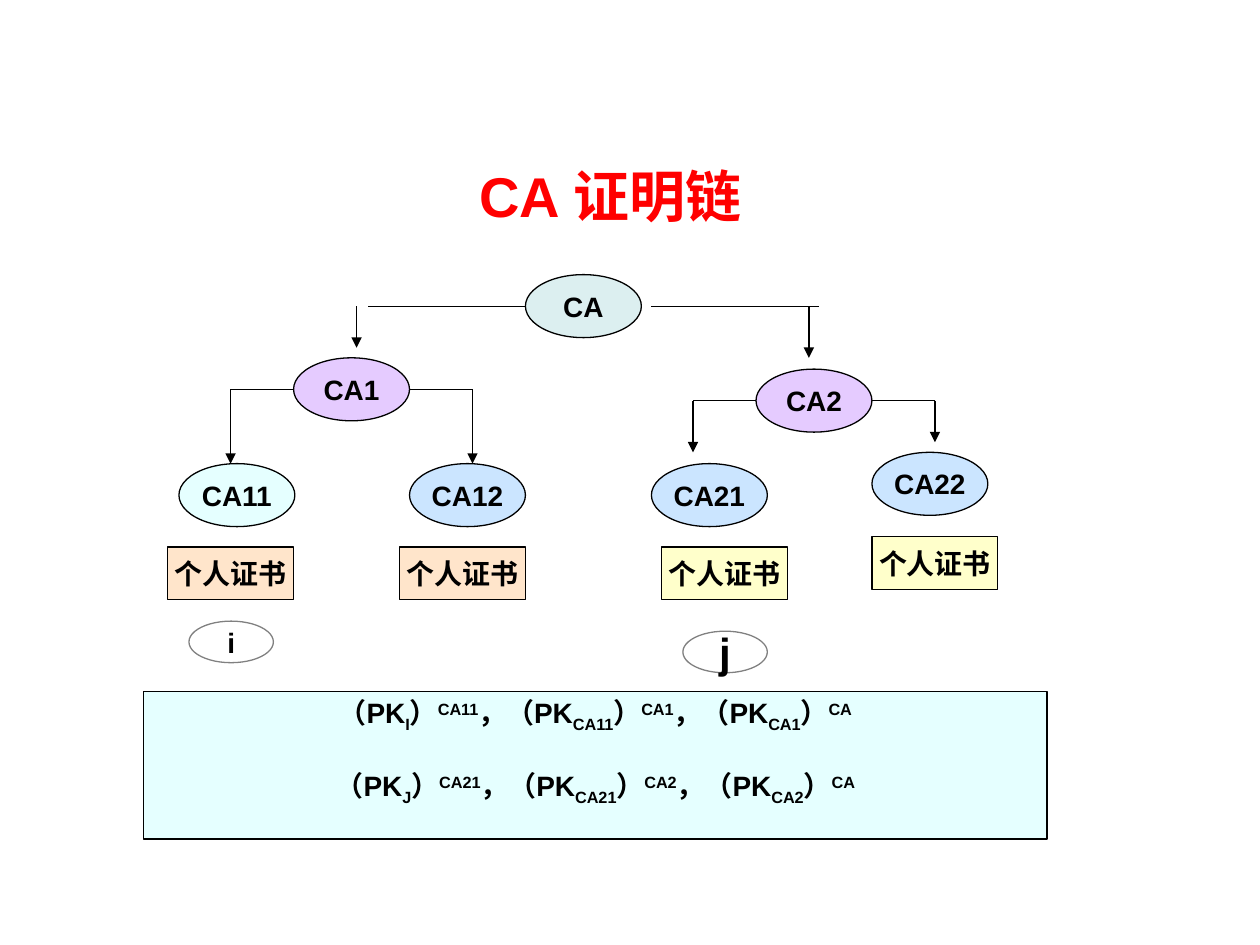
from dataclasses import dataclass

from lxml.etree import SubElement
from pptx import Presentation
from pptx.dml.color import RGBColor
from pptx.enum.shapes import MSO_CONNECTOR as CONN, MSO_SHAPE as SHAPE
from pptx.enum.text import MSO_ANCHOR as ANCHOR, PP_ALIGN as ALIGN
from pptx.oxml.ns import qn
from pptx.util import Inches, Pt


@dataclass(frozen=True)
class Theme:
    font: str = "Arial"
    ink: str = "000000"
    title: str = "FF0000"
    root: str = "BBE0E3"
    branch: str = "CC99FF"
    leaf: str = "99CCFF"
    pale: str = "CCFFFF"
    orange: str = "FFCC99"
    yellow: str = "FFFF99"
    grey: str = "808080"
    title_size: int = 32
    large: int = 24
    body: int = 16
    line: float = 0.75
    opacity: int = 50
    subscript: int = -25
    superscript: int = 30


T = Theme()


def rgb(value):
    return RGBColor.from_string(value)


def add_run(p, text, size=T.body, color=T.ink, baseline=0):
    r = p.add_run()
    r.text = text
    f = r.font
    f.name, f.size, f.bold = T.font, Pt(size), True
    f.color.rgb = rgb(color)
    if baseline:
        r._r.get_or_add_rPr().set("baseline", str(baseline * 1000))


def add_box(s, kind, x, y, w, h, fill=None, line=T.ink):
    sp = s.shapes.add_shape(kind, Inches(x), Inches(y), Inches(w), Inches(h))
    sp.shadow.inherit = False
    if fill:
        sp.fill.solid()
        sp.fill.fore_color.rgb = rgb(fill)
        color = sp._element.spPr.find(qn("a:solidFill"))[0]
        SubElement(color, qn("a:alpha")).set("val", str(T.opacity * 1000))
    else:
        sp.fill.background()
    sp.line.color.rgb = rgb(line)
    sp.line.width = Pt(T.line)
    tf = sp.text_frame
    tf.word_wrap = False
    tf.vertical_anchor = ANCHOR.MIDDLE
    tf.paragraphs[0].alignment = ALIGN.CENTER
    return tf


def add_label(s, kind, text, x, y, w, h, fill=None, line=T.ink, size=T.body):
    tf = add_box(s, kind, x, y, w, h, fill, line)
    add_run(tf.paragraphs[0], text, size)


def add_line(s, x1, y1, x2, y2, arrow=False):
    c = s.shapes.add_connector(CONN.STRAIGHT, Inches(x1), Inches(y1), Inches(x2), Inches(y2))
    c.line.color.rgb = rgb(T.ink)
    c.line.width = Pt(T.line)
    if arrow:
        SubElement(c.line._get_or_add_ln(), qn("a:tailEnd")).set("type", "triangle")
    SubElement(c._element.spPr, qn("a:effectLst"))


def add_branch(s, start, end, y, drop, tip):
    add_line(s, start, y, end, y)
    add_line(s, drop, y, drop, tip, arrow=True)


def add_title(s):
    sp = s.shapes.add_textbox(Inches(0.43), Inches(1.23), Inches(8.83), Inches(0.79))
    tf = sp.text_frame
    tf.word_wrap = True
    p = tf.paragraphs[0]
    p.alignment = ALIGN.CENTER
    p.space_before = Pt(8)
    add_run(p, "CA 证明链", T.title_size, T.title)


def add_chain(p, subject, issuers):
    p.alignment = ALIGN.CENTER
    opening = "（PK"
    for key, issuer in zip([subject] + issuers, issuers):
        add_run(p, opening)
        add_run(p, key, baseline=T.subscript)
        add_run(p, "）")
        add_run(p, issuer, baseline=T.superscript)
        opening = "，（PK"


def add_formulas(s):
    tf = add_box(s, SHAPE.RECTANGLE, 1.14, 5.49, 7.17, 1.17, T.pale)
    tf.vertical_anchor = ANCHOR.TOP
    tf.margin_top = Inches(0.03)
    add_chain(tf.paragraphs[0], "I", ["CA11", "CA1", "CA"])
    p = tf.add_paragraph()
    p.space_before = Pt(20)
    add_chain(p, "J", ["CA21", "CA2", "CA"])


def main():
    prs = Presentation()
    prs.slide_width, prs.slide_height = Inches(10), Inches(7.5)
    s = prs.slides.add_slide(prs.slide_layouts[6])
    add_title(s)

    authorities = [
        ("CA", 4.17, 2.18, T.root),
        ("CA1", 2.33, 2.84, T.branch),
        ("CA2", 6, 2.93, T.branch),
        ("CA11", 1.42, 3.68, T.pale),
        ("CA12", 3.25, 3.68, T.leaf),
        ("CA21", 5.17, 3.68, T.leaf),
        ("CA22", 6.92, 3.59, T.leaf),
    ]
    for name, x, y, fill in authorities:
        add_label(s, SHAPE.OVAL, name, x, y, 0.92, 0.5, fill)

    certificates = [
        (1.33, 4.34, T.orange),
        (3.17, 4.34, T.orange),
        (5.25, 4.34, T.yellow),
        (6.92, 4.26, T.yellow),
    ]
    for x, y, fill in certificates:
        add_label(s, SHAPE.RECTANGLE, "个人证书", x, y, 1, 0.42, fill)

    branches = [
        (4.17, 2.92, 2.43, 2.83, 2.76),
        (5.17, 6.5, 2.43, 6.42, 2.84),
        (2.33, 1.83, 3.09, 1.83, 3.68),
        (3.25, 3.75, 3.09, 3.75, 3.68),
        (6, 5.5, 3.18, 5.5, 3.59),
        (6.92, 7.42, 3.18, 7.42, 3.51),
    ]
    for branch in branches:
        add_branch(s, *branch)

    add_formulas(s)
    for name, x, y, size in [("i", 1.5, 4.93, T.body), ("j", 5.42, 5.01, T.large)]:
        add_label(s, SHAPE.OVAL, name, x, y, 0.67, 0.33, line=T.grey, size=size)
    prs.save("out.pptx")


if __name__ == "__main__":
    main()
